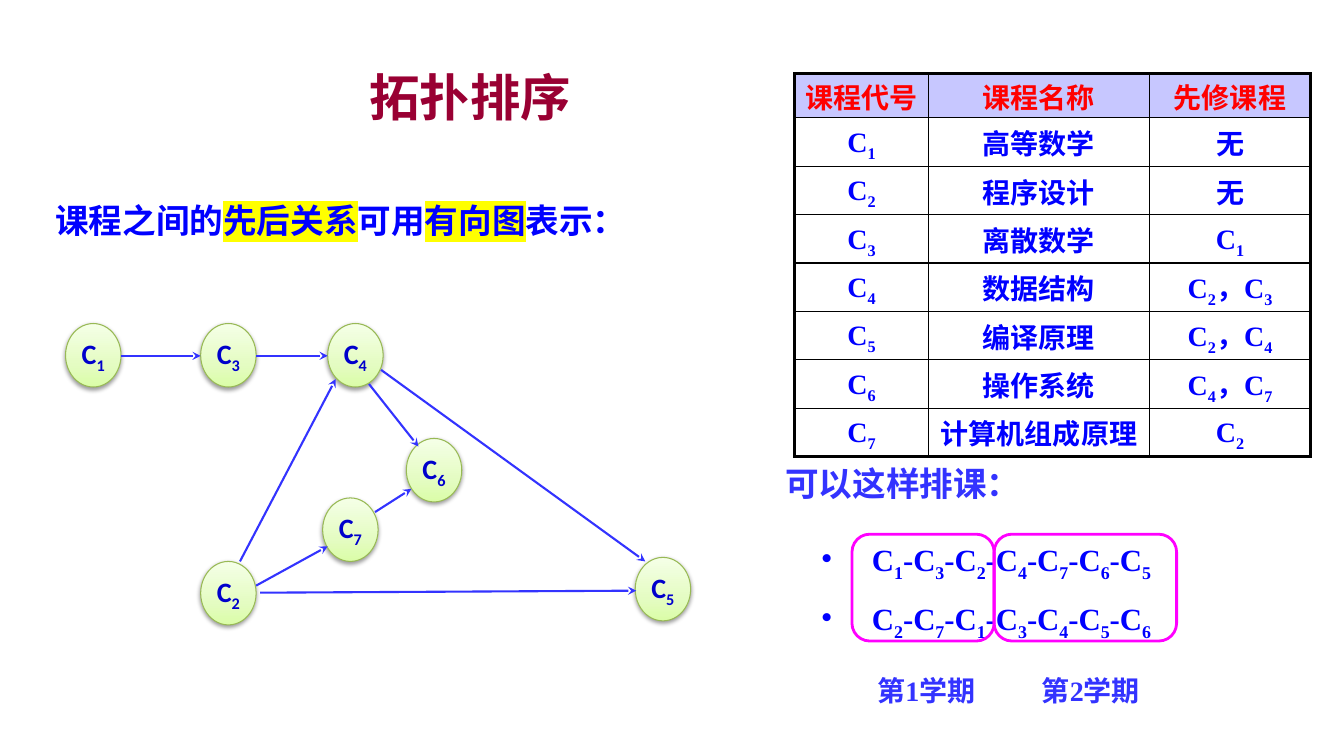
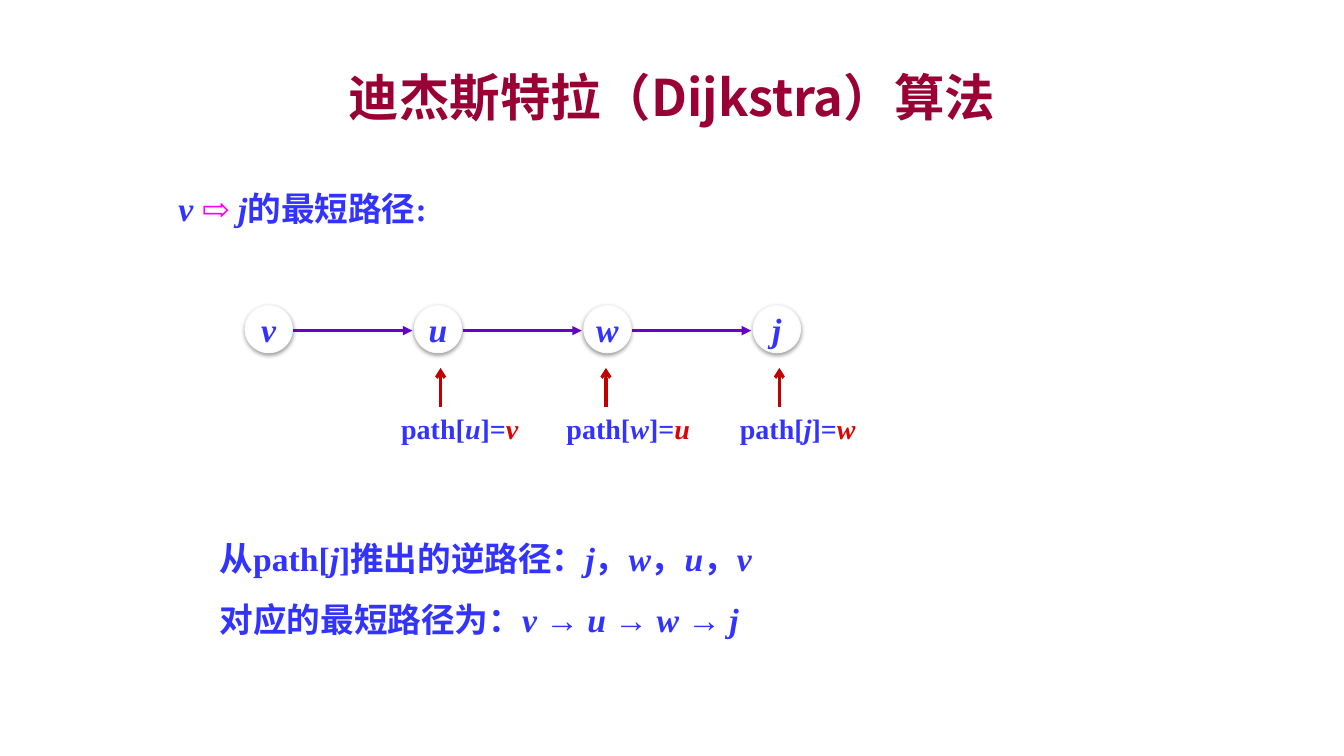
import dataclasses
import itertools

import lxml.etree
import pptx
import pptx.dml.color
import pptx.enum.shapes
import pptx.enum.text
import pptx.oxml.ns
import pptx.util

SHAPE = pptx.enum.shapes.MSO_SHAPE
ALIGN = pptx.enum.text.PP_ALIGN
MIDDLE = pptx.enum.text.MSO_ANCHOR.MIDDLE
SUB = {"base": -25000}
ITAL = {"italic": True}


@dataclasses.dataclass(frozen=True)
class Theme:
    maroon: str = "990033"
    blue: str = "0000FF"
    ink: str = "3333FF"
    navy: str = "0000CC"
    red: str = "FF0000"
    brick: str = "C00000"
    crimson: str = "DB0303"
    purple: str = "6600CC"
    pink: str = "FF00FF"
    yellow: str = "FFFF00"
    lilac: str = "C7C7FF"
    white: str = "FFFFFF"
    pale: str = "F9F9F9"
    green: str = "98B955"
    black: str = "000000"
    leaf: tuple = ((0, "DAFDA7"), (35, "E4FCC2"), (100, "F5FFE7"))
    serif: str = "Times New Roman"
    sans: str = "Calibri"
    cjk: str = "Noto Sans CJK SC"
    head: int = 36
    body: int = 24
    list: int = 22
    note: int = 20


T = Theme()


def rgb(code):
    return pptx.dml.color.RGBColor.from_string(code)


def inch(*vals):
    return [pptx.util.Inches(val) for val in vals]


def node(tag, up=None, **atts):
    """Make an XML element, placed last in up when that is given."""
    name = pptx.oxml.ns.qn(tag)
    made = lxml.etree.Element(name) if up is None else lxml.etree.SubElement(up, name)
    for key, val in atts.items():
        made.set(key, str(val))
    return made


def paint(up, code):
    return node("a:srgbClr", node("a:solidFill", up), val=code)


def subs(text):
    """Split text into runs with the digits lowered."""
    return [("".join(part), SUB if low else {})
            for low, part in itertools.groupby(text, str.isdigit)]


def marks(text, fmt):
    """Split text at underscores and give every second part the format."""
    return [(part, fmt if i % 2 else {})
            for i, part in enumerate(text.split("_")) if part]


def font(size, color, name=T.serif, asian=T.sans):
    return {"size": pptx.util.Pt(size), "color": color, "name": name,
            "asian": asian, "bold": True}


class Deck:
    def __init__(self):
        self.prs = pptx.Presentation()
        self.prs.slide_width, self.prs.slide_height = inch(13.33, 7.5)
        self.slide = None

    def start(self, text, width, name):
        """Open a title-only slide."""
        self.slide = self.prs.slides.add_slide(self.prs.slide_layouts[5])
        head = self.slide.shapes.title
        head.left, head.top, head.width, head.height = inch(1, 0.58, width, 0.75)
        frame = head.text_frame
        frame.auto_size = pptx.enum.text.MSO_AUTO_SIZE.NONE
        frame.vertical_anchor = MIDDLE
        self.fill(frame.paragraphs[0], [(text, {})],
                  font(T.head, T.maroon, name, T.cjk), ALIGN.CENTER)

    def fill(self, para, runs, base, align=ALIGN.LEFT):
        """Write runs of (text, changes) on top of a base format."""
        para.alignment = align
        for text, extra in runs:
            run = para.add_run()
            run.text = text
            fmt = {**base, **extra}
            run.font.color.rgb = rgb(fmt.pop("color"))
            asian, low, mark = (fmt.pop(key, None) for key in ("asian", "base", "mark"))
            for key, val in fmt.items():
                setattr(run.font, key, val)
            props = run._r.get_or_add_rPr()
            latin = props.find(pptx.oxml.ns.qn("a:latin"))
            latin.addnext(node("a:ea", typeface=asian))
            if low:
                props.set("baseline", str(low))
            if mark:
                glow = node("a:highlight")
                node("a:srgbClr", glow, val=mark)
                latin.addprevious(glow)

    def text(self, at, paras, base, align=ALIGN.LEFT, bullet=False, lead=None):
        frame = self.slide.shapes.add_textbox(*inch(*at)).text_frame
        frame.word_wrap = True
        for i, runs in enumerate(paras):
            para = frame.add_paragraph() if i else frame.paragraphs[0]
            if bullet:
                props = para._p.get_or_add_pPr()
                props.set("marL", str(pptx.util.Inches(0.5)))
                props.set("indent", str(pptx.util.Inches(-0.5)))
                node("a:buChar", props, char="•")
            if i:
                para.space_before = pptx.util.Pt(12)
            if lead:
                para.line_spacing = lead
            self.fill(para, runs, base, align)

    def shape(self, kind, at, line, width):
        made = self.slide.shapes.add_shape(kind, *inch(*at))
        made.shadow.inherit = False
        made.fill.background()
        made.line.color.rgb = rgb(line)
        made.line.width = pptx.util.Pt(width)
        return made

    def disc(self, at, runs, base, line, stops=None):
        """Draw a shaded node, with a gradient when stops are given."""
        made = self.shape(SHAPE.OVAL, at, line, 0.75)
        if stops:
            made.fill.gradient()
            made.fill.gradient_angle = 90
            grad = made._element.spPr.find(pptx.oxml.ns.qn("a:gradFill"))
            bands = grad.find(pptx.oxml.ns.qn("a:gsLst"))
            for old in list(bands):
                bands.remove(old)
            for pos, code in stops:
                node("a:srgbClr", node("a:gs", bands, pos=pos * 1000), val=code)
            grad.find(pptx.oxml.ns.qn("a:lin")).set("ang", str(270 * 60000))
        else:
            made.fill.solid()
            made.fill.fore_color.rgb = rgb(T.white)
        glow = made._element.spPr.find(pptx.oxml.ns.qn("a:effectLst"))
        cast = node("a:outerShdw", glow, blurRad=pptx.util.Pt(3.1),
                    dist=pptx.util.Pt(1.6), dir=90 * 60000, rotWithShape=0)
        node("a:alpha", node("a:srgbClr", cast, val=T.black), val=38000)
        frame = made.text_frame
        frame.word_wrap = False
        frame.vertical_anchor = MIDDLE
        self.fill(frame.paragraphs[0], runs, base, ALIGN.CENTER)

    def arrow(self, ends, color, width, tip):
        kind = pptx.enum.shapes.MSO_CONNECTOR.STRAIGHT
        made = self.slide.shapes.add_connector(kind, *inch(*ends))
        made.line.color.rgb = rgb(color)
        made.line.width = pptx.util.Pt(width)
        node("a:tailEnd", made.line._get_or_add_ln(), type=tip)
        node("a:effectLst", made._element.spPr)

    def table(self, left, top, cols, highs, rows):
        size = inch(left, top, sum(cols), sum(highs))
        grid = self.slide.shapes.add_table(len(rows), len(cols), *size).table
        grid.first_row = grid.horz_banding = False
        for col, wide in zip(grid.columns, inch(*cols)):
            col.width = wide
        for row, high in zip(grid.rows, inch(*highs)):
            row.height = high
        for r, row in enumerate(rows):
            for c, text in enumerate(row):
                cell = grid.cell(r, c)
                outer = {"L": c == 0, "R": c == len(cols) - 1,
                         "T": r == 0, "B": r == len(rows) - 1}
                for side, edge in outer.items():
                    rule = node("a:ln" + side, cell._tc.get_or_add_tcPr(),
                                w=pptx.util.Pt(2.25 if edge else 1))
                    paint(rule, T.black)
                cell.fill.background()
                if r == 0:
                    cell.fill.solid()
                    cell.fill.fore_color.rgb = rgb(T.lilac)
                cell.vertical_anchor = MIDDLE
                cell.margin_top, cell.margin_bottom = inch(0.08, 0.02)
                base = font(T.note, T.blue if r else T.red)
                self.fill(cell.text_frame.paragraphs[0], subs(text), base, ALIGN.CENTER)


def courses(deck):
    deck.start("拓扑排序", 7.33, "DejaVu Sans")
    lead = "课程之间的_先后关系_可用_有向图_表示："
    deck.text((0.45, 1.93, 7.17, 0.5), [marks(lead, {"mark": T.yellow})],
              font(T.body, T.blue))

    spots = {"C1": (0.65, 3.21), "C3": (1.99, 3.21), "C4": (3.25, 3.21),
             "C2": (1.99, 5.57), "C7": (3.2, 4.94), "C6": (4.03, 4.35),
             "C5": (6.3, 5.53)}
    for name, spot in spots.items():
        deck.disc((*spot, 0.55, 0.63), subs(name),
                  font(T.note, T.navy, T.sans), T.green, T.leaf)
    for ends in [(1.2, 3.53, 1.99, 3.53), (2.54, 3.53, 3.25, 3.53),
                 (2.38, 5.57, 3.33, 3.76), (2.54, 5.81, 3.25, 5.42),
                 (3.72, 5.08, 4.08, 4.85), (3.78, 3.67, 6.4, 5.57),
                 (2.58, 5.88, 6.31, 5.86), (3.66, 3.81, 4.15, 4.43)]:
        deck.arrow(ends, T.ink, 1.5, "stealth")

    deck.text((7.69, 4.54, 4.88, 0.5), [[("可以这样排课：", {})]], font(T.body, T.ink))
    plans = ["C1-C3-C2-C4-C7-C6-C5", "C2-C7-C1-C3-C4-C5-C6"]
    deck.text((8.05, 5.32, 3.98, 1.03), [subs(plan) for plan in plans],
              font(T.list, T.blue), bullet=True)
    for term, left, x, wide in [("第1学期", 8.41, 8.45, 1.41),
                                ("第2学期", 10.04, 9.86, 1.81)]:
        deck.text((left, 6.63, 1.56, 0.44), [[(term, {})]],
                  font(T.note, T.ink), ALIGN.CENTER)
        deck.shape(SHAPE.ROUNDED_RECTANGLE, (x, 5.3, wide, 1.06), T.pink, 2)

    deck.table(7.88, 0.73, (1.33, 2.19, 1.6), [0.44] + [0.48] * 7, [
        ("课程代号", "课程名称", "先修课程"),
        ("C1", "高等数学", "无"),
        ("C2", "程序设计", "无"),
        ("C3", "离散数学", "C1"),
        ("C4", "数据结构", "C2，C3"),
        ("C5", "编译原理", "C2，C4"),
        ("C6", "操作系统", "C4，C7"),
        ("C7", "计算机组成原理", "C2"),
    ])


def shortest(deck):
    deck.start("迪杰斯特拉（Dijkstra）算法", 11.33, T.cjk)
    base = font(T.body, T.ink)
    deck.text((1.67, 1.82, 2.7, 0.5), [[
        ("v ", ITAL), ("⇨ ", {"color": T.pink}), ("j", ITAL), ("的最短路径:", {})]], base)

    step = 1.68
    for i, name in enumerate("vuwj"):
        x = 2.43 + i * step
        deck.disc((x, 3.03, 0.47, 0.47), [(name, ITAL)], base, T.pale)
        if name != "j":
            deck.arrow((x + 0.48, 3.28, x + step - 0.02, 3.28), T.purple, 2.25, "triangle")

    for x, name, prior in [(4.37, "u", "v"), (6.01, "w", "u"), (7.73, "j", "w")]:
        deck.arrow((x, 4.04, x, 3.65), T.brick, 2.25, "arrow")
        runs = marks(f"path[_{name}_]=", ITAL) + [(prior, {**ITAL, "color": T.crimson})]
        deck.text((x - 0.49, 4.03, 1.56, 0.44), [runs], font(T.note, T.ink))

    lines = ["从path[_j_]推出的逆路径：_j_，_w_，_u_，_v",
             "对应的最短路径为：_v_ → _u_ → _w_ → _j"]
    deck.text((2.08, 5.25, 6.5, 1.16), [marks(line, ITAL) for line in lines],
              base, lead=1.1)


def main():
    deck = Deck()
    courses(deck)
    shortest(deck)
    deck.prs.save("out.pptx")


if __name__ == "__main__":
    main()
